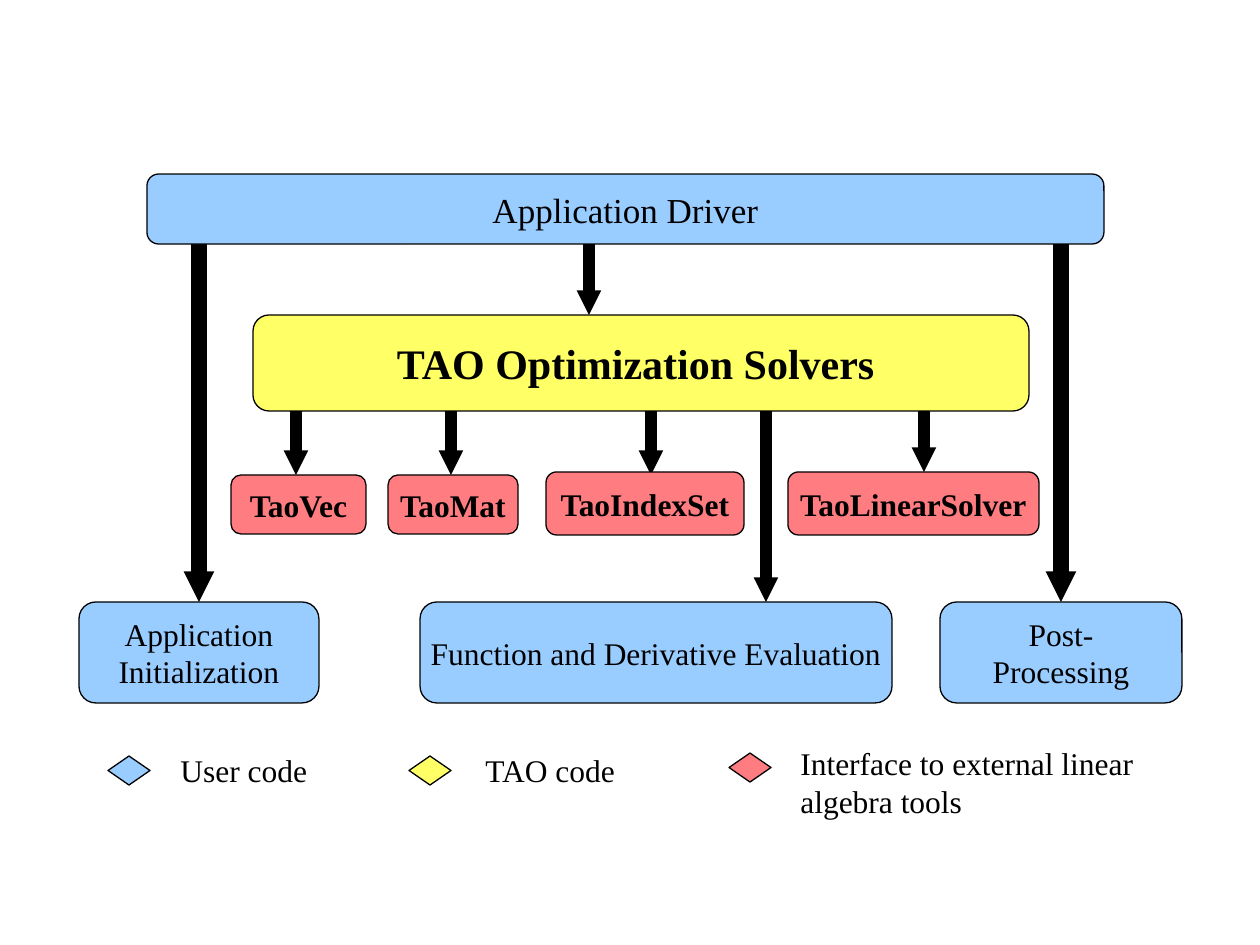
from typing import NamedTuple

from lxml.etree import SubElement
from pptx import Presentation
from pptx.dml.color import RGBColor
from pptx.enum.shapes import MSO_CONNECTOR, MSO_SHAPE
from pptx.enum.text import MSO_ANCHOR, MSO_AUTO_SIZE, PP_ALIGN
from pptx.oxml.ns import qn
from pptx.util import Emu, Pt

PX_PER_INCH = 126
FONT = "Times New Roman"
BLACK = "000000"
USER_CODE, TAO_CODE, INTERFACE = "99CCFF", "FFFF66", "FF7C80"


class Box(NamedTuple):
    label: str
    left: int
    top: int
    width: int
    height: int
    fill: str
    size: int = 18
    bold: bool = False


class Arrow(NamedTuple):
    x: int
    start: int
    end: int
    weight: float = 7


class LegendEntry(NamedTuple):
    label: str
    fill: str
    marker_left: int
    marker_top: int
    text_left: int
    text_top: int
    text_width: int
    text_height: int
    wrap: bool


ARROWS = [
    Arrow(1061, 242, 602, 8.75),
    Arrow(199, 242, 602, 8.75),
    Arrow(589, 199, 315),
    Arrow(296, 378, 475),
    Arrow(451, 378, 475),
    Arrow(651, 378, 475),
    Arrow(766, 407, 602),
    Arrow(924, 375, 472),
]

BOXES = [
    Box("Application Driver", 147, 174, 957, 70, USER_CODE, 20),
    Box("TAO Optimization Solvers ", 253, 315, 776, 96, TAO_CODE, 24, True),
    Box("TaoVec", 231, 475, 135, 59, INTERFACE, bold=True),
    Box("TaoMat", 388, 475, 130, 59, INTERFACE, bold=True),
    Box("TaoIndexSet", 546, 472, 198, 63, INTERFACE, bold=True),
    Box("TaoLinearSolver", 788, 472, 251, 63, INTERFACE, bold=True),
    Box("Application\nInitialization", 79, 602, 240, 101, USER_CODE),
    Box("Function and Derivative Evaluation", 420, 602, 472, 101, USER_CODE),
    Box("Post-\nProcessing", 940, 602, 242, 101, USER_CODE),
]

LEGEND = [
    LegendEntry("User code", USER_CODE, 108, 756, 168, 745, 199, 50, True),
    LegendEntry("TAO code", TAO_CODE, 409, 756, 473, 745, 157, 50, False),
    LegendEntry("Interface to external linear algebra tools", INTERFACE,
                729, 753, 788, 738, 391, 88, True),
]


def px(length: int) -> Emu:
    return Emu(round(length * 914400 / PX_PER_INCH))


def color(hex_code: str) -> RGBColor:
    return RGBColor.from_string(hex_code)


def write(frame, text: str, size: int, bold: bool, align: PP_ALIGN) -> None:
    frame.text = text
    for paragraph in frame.paragraphs:
        paragraph.alignment = align
        font = paragraph.font
        font.name, font.size, font.bold = FONT, Pt(size), bold
        font.color.rgb = color(BLACK)


def add_outlined(slide, preset: MSO_SHAPE, left: int, top: int,
                 width: int, height: int, fill: str):
    shape = slide.shapes.add_shape(preset, px(left), px(top), px(width), px(height))
    shape.shadow.inherit = False
    shape.fill.solid()
    shape.fill.fore_color.rgb = color(fill)
    shape.line.color.rgb = color(BLACK)
    shape.line.width = Pt(0.75)
    return shape


def draw_box(slide, box: Box) -> None:
    shape = add_outlined(slide, MSO_SHAPE.ROUNDED_RECTANGLE, box.left, box.top,
                         box.width, box.height, box.fill)
    frame = shape.text_frame
    frame.word_wrap = False
    frame.vertical_anchor = MSO_ANCHOR.MIDDLE
    write(frame, box.label, box.size, box.bold, PP_ALIGN.CENTER)


def draw_arrow(slide, arrow: Arrow) -> None:
    connector = slide.shapes.add_connector(
        MSO_CONNECTOR.STRAIGHT, px(arrow.x), px(arrow.start), px(arrow.x), px(arrow.end))
    connector.line.color.rgb = color(BLACK)
    connector.line.width = Pt(arrow.weight)
    SubElement(connector.line._get_or_add_ln(), qn("a:tailEnd"),
               type="triangle", w="sm", len="sm")
    SubElement(connector._element.spPr, qn("a:effectLst"))


def draw_legend_entry(slide, entry: LegendEntry) -> None:
    add_outlined(slide, MSO_SHAPE.DIAMOND, entry.marker_left, entry.marker_top,
                 42, 29, entry.fill)
    caption = slide.shapes.add_textbox(px(entry.text_left), px(entry.text_top),
                                       px(entry.text_width), px(entry.text_height))
    frame = caption.text_frame
    frame.word_wrap = entry.wrap
    frame.auto_size = MSO_AUTO_SIZE.SHAPE_TO_FIT_TEXT
    write(frame, entry.label, 18, False, PP_ALIGN.LEFT)


def main() -> None:
    deck = Presentation()
    deck.slide_width, deck.slide_height = px(1260), px(945)
    slide = deck.slides.add_slide(deck.slide_layouts[6])
    # Arrows go first so that the boxes cover their starting ends.
    for arrow in ARROWS:
        draw_arrow(slide, arrow)
    for box in BOXES:
        draw_box(slide, box)
    for entry in LEGEND:
        draw_legend_entry(slide, entry)
    deck.save("out.pptx")


if __name__ == "__main__":
    main()
